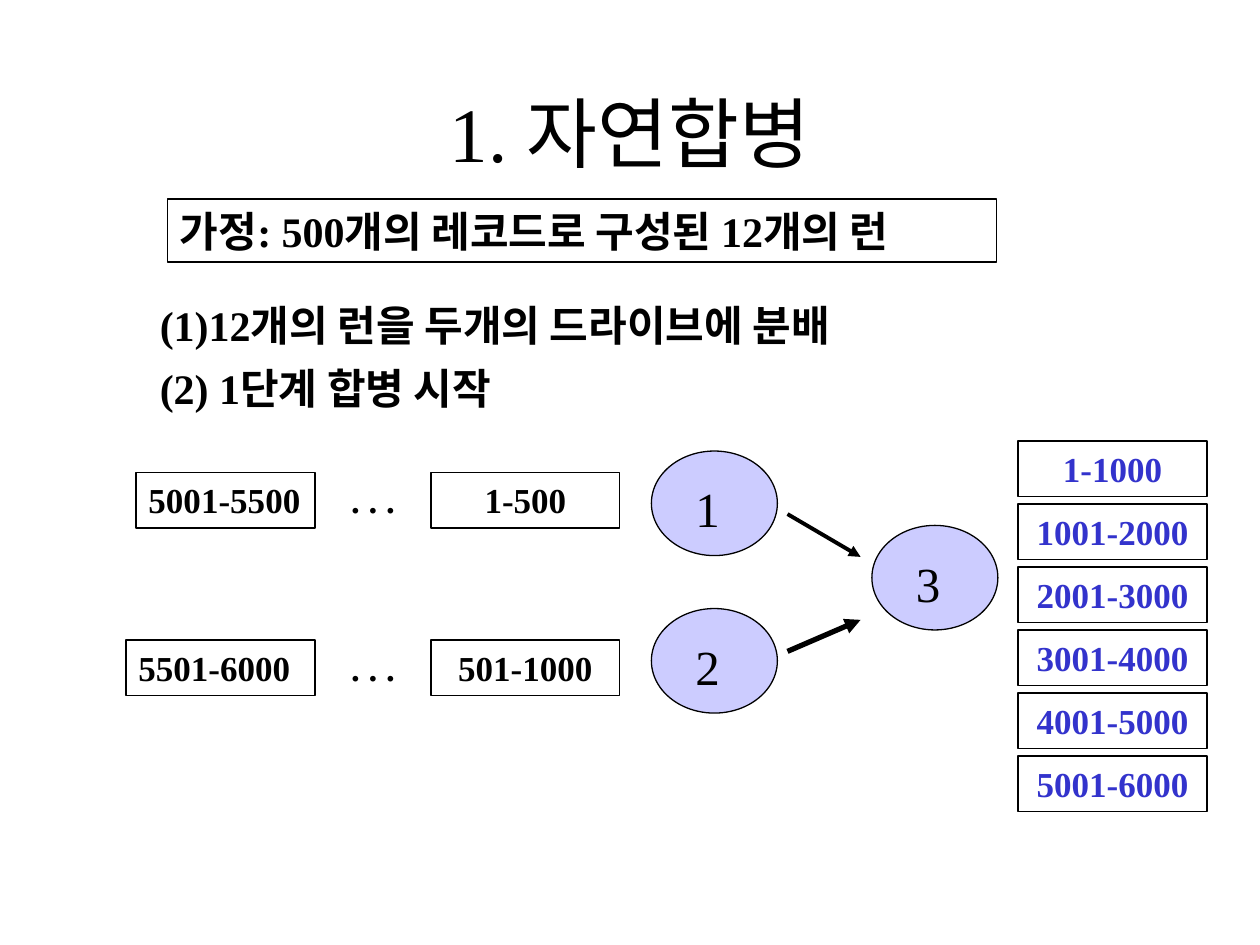
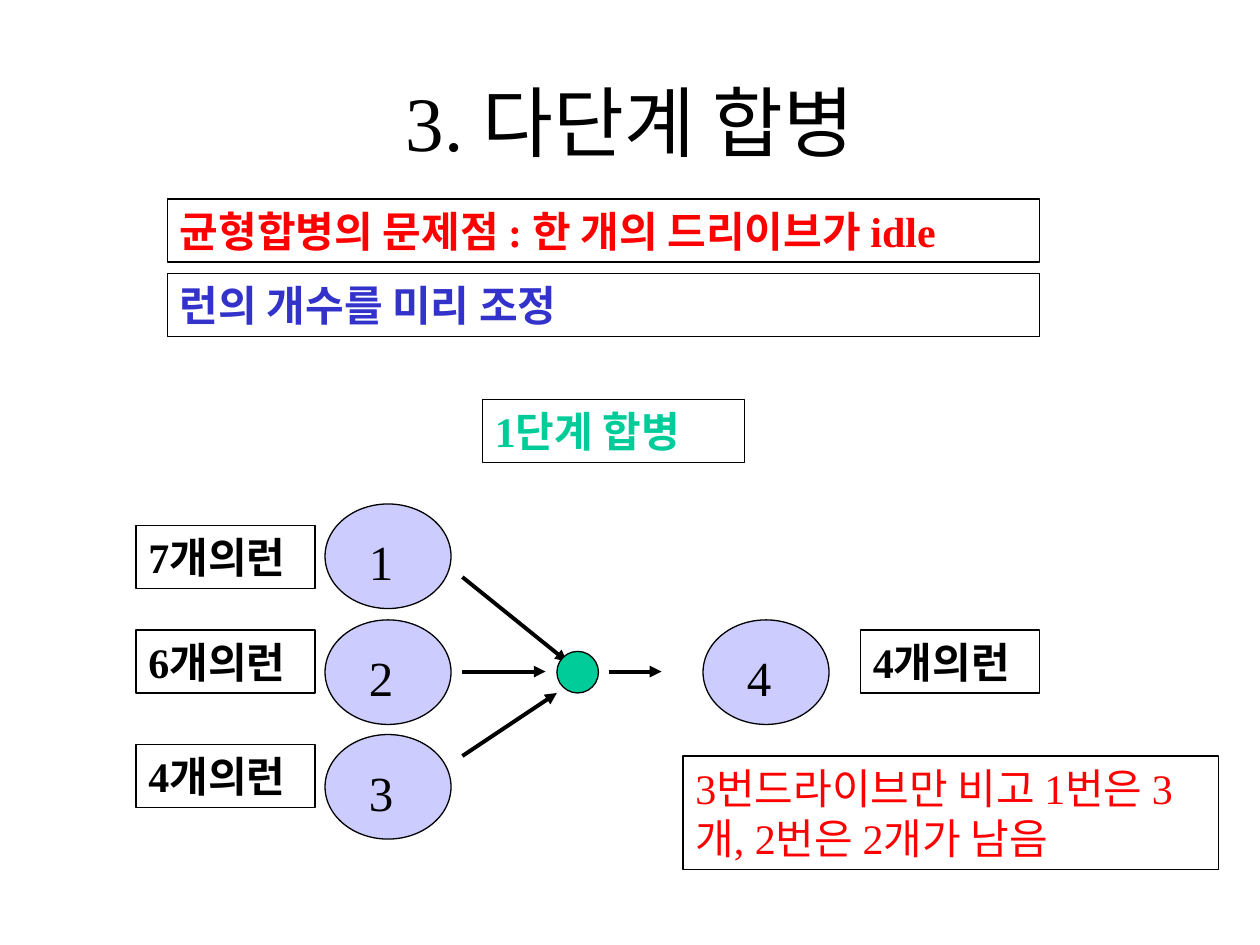
from pptx import Presentation
from pptx.dml.color import RGBColor
from pptx.enum.shapes import MSO_CONNECTOR, MSO_SHAPE
from pptx.enum.text import MSO_ANCHOR, PP_ALIGN
from pptx.oxml.ns import qn
from pptx.util import Inches, Pt
from lxml.etree import SubElement

FONT = "Times New Roman"
COLORS = {
    "black": "000000",
    "blue": "3333CC",
    "red": "FF0000",
    "green": "00CC99",
    "drive": "CCCCFF",
}
DRIVE_W, DRIVE_H = 1, 0.83
RUN_H = 0.44
BOX_H = 0.5


def rgb(name):
    return RGBColor.from_string(COLORS[name])


def write(frame, text, size, color="black", bold=False, align=PP_ALIGN.LEFT,
          anchor=MSO_ANCHOR.TOP):
    frame.word_wrap = True
    frame.vertical_anchor = anchor
    paragraph = frame.paragraphs[0]
    paragraph.alignment = align
    run = paragraph.add_run()
    run.text = text
    run.font.name = FONT
    run.font.size = Pt(size)
    run.font.bold = bold
    run.font.color.rgb = rgb(color)


def add_text(slide, text, x, y, w, h, size, **style):
    label = slide.shapes.add_textbox(Inches(x), Inches(y), Inches(w), Inches(h))
    write(label.text_frame, text, size, **style)


def add_title(slide, text, y):
    add_text(slide, text, 0.75, y, 8.5, 1.25, 44,
             align=PP_ALIGN.CENTER, anchor=MSO_ANCHOR.MIDDLE)


def add_outlined(slide, kind, x, y, w, h, fill=None):
    shape = slide.shapes.add_shape(kind, Inches(x), Inches(y), Inches(w), Inches(h))
    shape.shadow.inherit = False
    if fill:
        shape.fill.solid()
        shape.fill.fore_color.rgb = rgb(fill)
    else:
        shape.fill.background()
    shape.line.color.rgb = rgb("black")
    shape.line.width = Pt(0.75)
    return shape


def add_box(slide, text, x, y, w, h=BOX_H, size=24, bold=True, **style):
    box = add_outlined(slide, MSO_SHAPE.RECTANGLE, x, y, w, h)
    write(box.text_frame, text, size, bold=bold, **style)


def add_run_box(slide, text, x, y, w=1.5, align=PP_ALIGN.CENTER, color="black"):
    add_box(slide, text, x, y, w, RUN_H, size=20, align=align, color=color)


def add_drive(slide, number, x, y):
    add_outlined(slide, MSO_SHAPE.OVAL, x, y, DRIVE_W, DRIVE_H, "drive")
    add_text(slide, number, x + 0.25, y + 0.17, 0.5, 0.57, 28)


def add_arrow(slide, start, end, width=2.25):
    points = [Inches(value) for value in (*start, *end)]
    arrow = slide.shapes.add_connector(MSO_CONNECTOR.STRAIGHT, *points)
    arrow.line.color.rgb = rgb("black")
    arrow.line.width = Pt(width)
    SubElement(arrow.line._get_or_add_ln(), qn("a:tailEnd"), type="triangle")
    SubElement(arrow._element.spPr, qn("a:effectLst"))


def build_natural_merge(slide):
    add_title(slide, "1. 자연합병", 0.42)
    add_box(slide, "가정: 500개의 레코드로 구성된 12개의 런", 1.33, 1.58, 6.58)

    # Steps
    steps = ["(1)12개의 런을 두개의 드라이브에 분배", "(2) 1단계 합병 시작"]
    for i, step in enumerate(steps):
        add_text(slide, step, 1.17, 2.33 + i * 0.5, 6.67, BOX_H, 24, bold=True)

    # Input runs, last to first, beside each drive
    inputs = [
        ("5001-5500", 1.08, "1-500", 3.75, "1", 3.58),
        ("5501-6000", 1, "501-1000", 5.08, "2", 4.83),
    ]
    for last_run, last_x, first_run, run_y, drive, drive_y in inputs:
        add_run_box(slide, last_run, last_x, run_y, 2.5 - last_x, PP_ALIGN.LEFT)
        add_text(slide, ". . .", 2.67, run_y, 0.58, RUN_H, 20,
                 bold=True, align=PP_ALIGN.CENTER)
        add_run_box(slide, first_run, 3.42, run_y)
        add_drive(slide, drive, 5.17, drive_y)

    # Merge into drive 3
    add_drive(slide, "3", 6.92, 4.17)
    add_arrow(slide, (6.25, 4.08), (6.83, 4.42))
    add_arrow(slide, (6.25, 5.17), (6.83, 4.92), width=3)

    # Merged runs of 1000 records
    for i in range(6):
        add_run_box(slide, f"{i * 1000 + 1}-{(i + 1) * 1000}", 8.08, 3.5 + i * 0.5,
                    color="blue")


def build_polyphase_merge(slide):
    add_title(slide, "3. 다단계 합병", 0.33)
    add_box(slide, "균형합병의 문제점 : 한 개의 드리이브가 idle", 1.33, 1.58, 6.92,
            color="red")
    add_box(slide, "런의 개수를 미리 조정", 1.33, 2.17, 6.92, color="blue")
    add_box(slide, "1단계 합병", 3.83, 3.17, 2.08, color="green")

    # Input drives with their run counts
    drives = [("1", "7개의런", 4), ("2", "6개의런", 4.92), ("3", "4개의런", 5.83)]
    for number, run_count, y in drives:
        add_box(slide, run_count, 1.08, y + 0.08 if number != "1" else 4.17, 1.42)
        add_drive(slide, number, 2.58, y)

    # Arrows through the merge point
    arrows = [
        ((3.67, 4.58), (4.5, 5.25)),
        ((3.67, 5.33), (4.33, 5.33)),
        ((3.67, 6), (4.42, 5.5)),
        ((4.83, 5.33), (5.25, 5.33)),
    ]
    for start, end in arrows:
        add_arrow(slide, start, end)
    add_outlined(slide, MSO_SHAPE.OVAL, 4.42, 5.17, 0.33, 0.33, "green")

    # Output drive and result
    add_drive(slide, "4", 5.58, 4.92)
    add_box(slide, "4개의런", 6.83, 5, 1.42)
    add_box(slide, "3번드라이브만 비고 1번은 3개, 2번은 2개가 남음", 5.42, 6, 4.25, 0.9,
            bold=False, color="red")


def main():
    prs = Presentation()
    prs.slide_width, prs.slide_height = Inches(10), Inches(7.5)
    for build in (build_natural_merge, build_polyphase_merge):
        build(prs.slides.add_slide(prs.slide_layouts[6]))
    prs.save("out.pptx")


if __name__ == "__main__":
    main()
